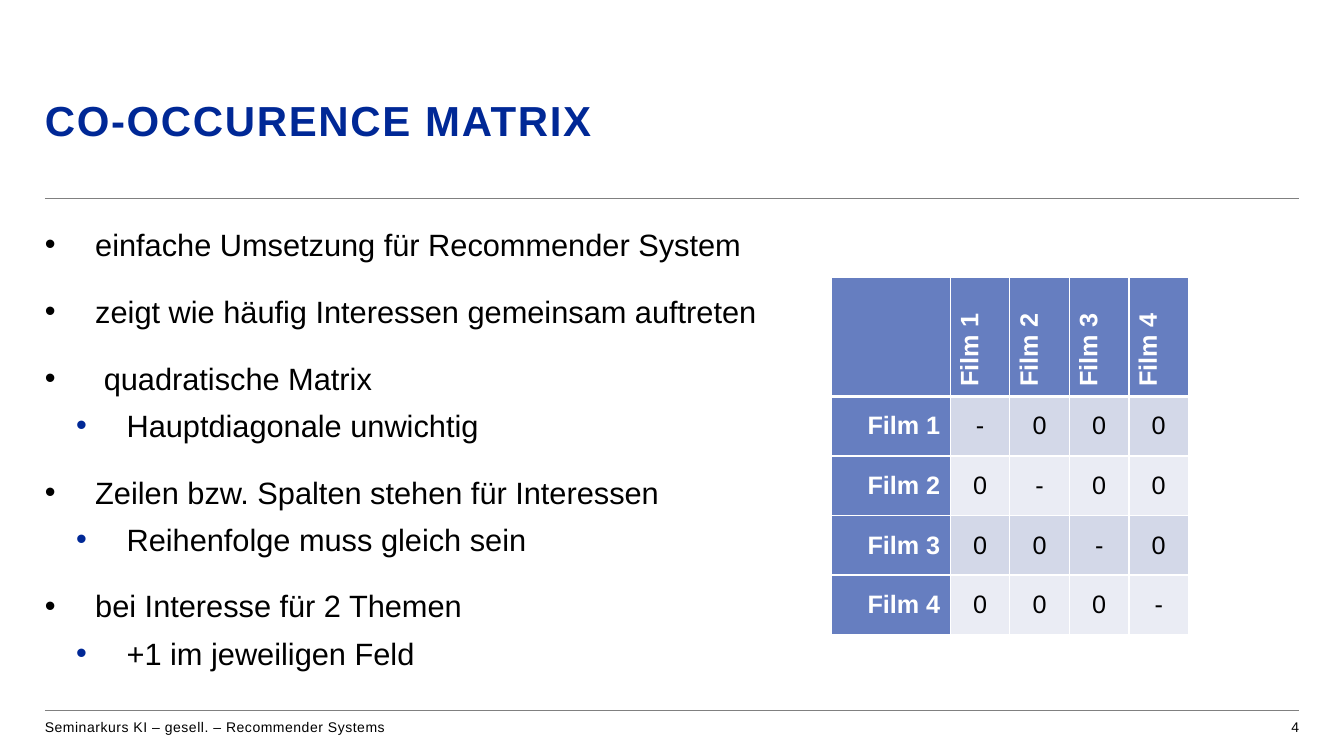
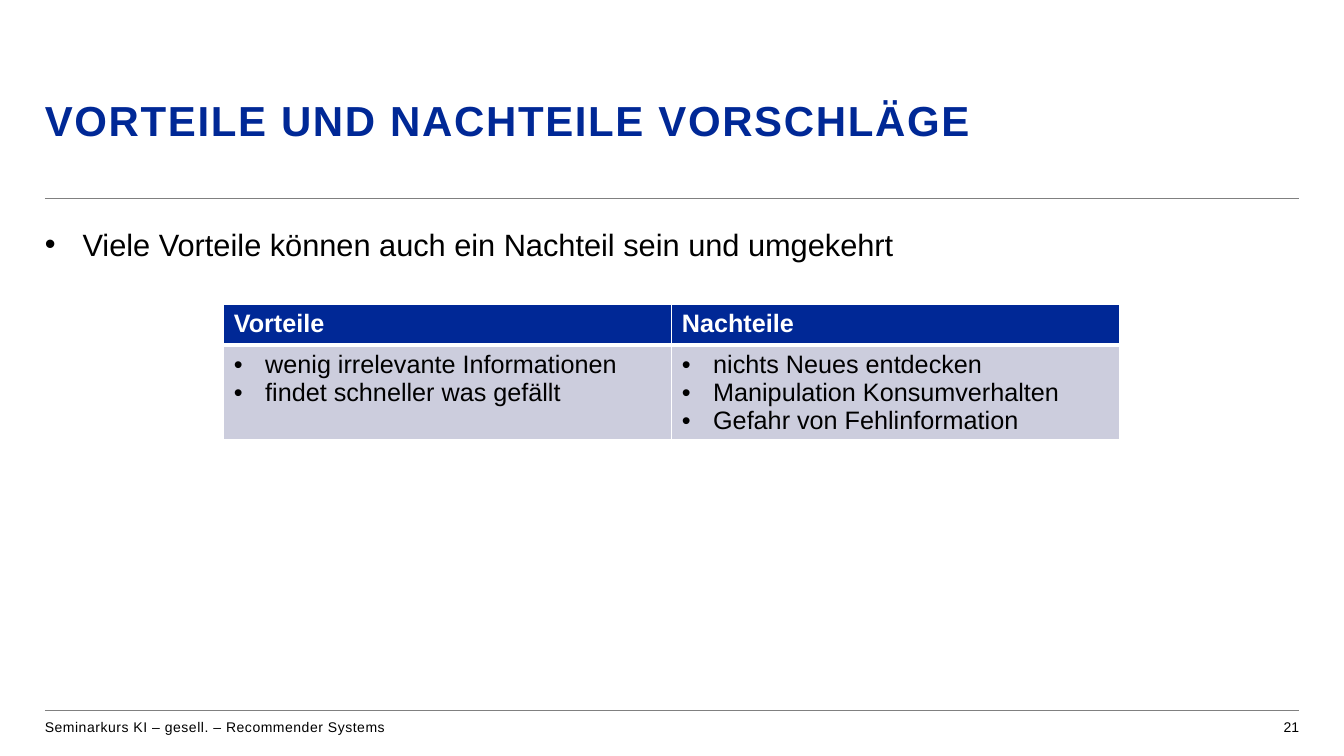
"""Build two slides on recommender systems: a co-occurrence matrix and pros and cons."""
import lxml.etree
import pptx
import pptx.dml.color
import pptx.enum.shapes
import pptx.enum.text
import pptx.oxml.ns
import pptx.util

Cm = pptx.util.Cm
Pt = pptx.util.Pt
qn = pptx.oxml.ns.qn
ALIGN = pptx.enum.text.PP_ALIGN
ANCHOR = pptx.enum.text.MSO_ANCHOR

COLORS = {
    "black": "000000",
    "white": "FFFFFF",
    "navy": "002896",
    "rule": "808080",
    "header": "667EC0",
    "band_dark": "D3D8E8",
    "band_light": "EAECF4",
    "list_cell": "CCCDDD",
}
LEFT, WIDTH = 1.13, 31.61
RIGHT = LEFT + WIDTH
FOOTER = "Seminarkurs KI – gesell. – Recommender Systems"

SLIDES = [
    ("CO-OCCURENCE MATRIX", "4", 1.27, [
        (0, "einfache Umsetzung für Recommender System"),
        (0, "zeigt wie häufig Interessen gemeinsam auftreten"),
        (0, " quadratische Matrix"),
        (1, "Hauptdiagonale unwichtig"),
        (0, "Zeilen bzw. Spalten stehen für Interessen"),
        (1, "Reihenfolge muss gleich sein"),
        (0, "bei Interesse für 2 Themen"),
        (1, "+1 im jeweiligen Feld"),
    ]),
    ("VORTEILE UND NACHTEILE VORSCHLÄGE", "21", 0.95, [
        (0, "Viele Vorteile können auch ein Nachteil sein und umgekehrt"),
    ]),
]
FILMS = ["Film 1", "Film 2", "Film 3", "Film 4"]
ARGUMENTS = {
    "Vorteile": ["wenig irrelevante Informationen", "findet schneller was gefällt"],
    "Nachteile": ["nichts Neues entdecken", "Manipulation Konsumverhalten",
                  "Gefahr von Fehlinformation"],
}


def write_paragraph(paragraph, text, size, color="black", bold=False, align=ALIGN.LEFT,
                    tracking=0, bullet=None, margin=0, hanging=0):
    """Fill a paragraph with text; bullet names the colour of its bullet."""
    paragraph.text = text
    paragraph.alignment = align
    properties = paragraph._p.get_or_add_pPr()
    if bullet:
        properties.set("marL", str(Cm(margin)))
        properties.set("indent", str(-Cm(hanging)))
        bullet_color = lxml.etree.SubElement(properties, qn("a:buClr"))
        lxml.etree.SubElement(bullet_color, qn("a:srgbClr"), val=COLORS[bullet])
        lxml.etree.SubElement(properties, qn("a:buFont"), typeface="Arial")
        lxml.etree.SubElement(properties, qn("a:buChar"), char="•")
    font = paragraph.font
    font.name = "Arial"
    font.size = Pt(size)
    font.bold = bold
    font.color.rgb = pptx.dml.color.RGBColor.from_string(COLORS[color])
    if tracking:
        properties.find(qn("a:defRPr")).set("spc", str(tracking))


def style_cell(cell, fill, row):
    """Give a cell white borders, thicker below the header row, and a fill."""
    properties = cell._tc.get_or_add_tcPr()
    widths = {"a:lnL": 1, "a:lnR": 1, "a:lnT": 3 if row == 1 else 1, "a:lnB": 3 if row == 0 else 1}
    for tag, width in widths.items():
        border = lxml.etree.SubElement(properties, qn(tag), w=str(Pt(width)))
        border_fill = lxml.etree.SubElement(border, qn("a:solidFill"))
        lxml.etree.SubElement(border_fill, qn("a:srgbClr"), val=COLORS["white"])
    cell.fill.solid()
    cell.fill.fore_color.rgb = pptx.dml.color.RGBColor.from_string(COLORS[fill])


presentation = pptx.Presentation()
presentation.slide_width = Cm(33.87)
presentation.slide_height = Cm(19.05)

for title, number, hanging, bullets in SLIDES:
    slide = presentation.slides.add_slide(presentation.slide_layouts[1])
    title_shape, body = slide.placeholders
    footer = slide.shapes.add_textbox(Cm(LEFT), Cm(18.11), Cm(20.5), Cm(0.6))
    page = slide.shapes.add_textbox(Cm(RIGHT - 5.28), Cm(18.11), Cm(5.28), Cm(0.6))

    for shape, top, height in ((title_shape, 2.48, 2.39), (body, 5.64, 11.68)):
        shape.left, shape.top, shape.width, shape.height = Cm(LEFT), Cm(top), Cm(WIDTH), Cm(height)
    for shape in (title_shape, body, footer, page):
        frame = shape.text_frame
        frame.margin_left = frame.margin_right = frame.margin_top = frame.margin_bottom = 0
        frame.word_wrap = True
        frame.auto_size = pptx.enum.text.MSO_AUTO_SIZE.NONE
        frame.vertical_anchor = ANCHOR.TOP

    heading = title_shape.text_frame.paragraphs[0]
    write_paragraph(heading, title, 30, "navy", bold=True, tracking=120)
    heading.line_spacing = 0.94
    write_paragraph(footer.text_frame.paragraphs[0], FOOTER, 10, tracking=40)
    write_paragraph(page.text_frame.paragraphs[0], number, 10, align=ALIGN.RIGHT)

    for index, (level, text) in enumerate(bullets):
        frame = body.text_frame
        paragraph = frame.add_paragraph() if index else frame.paragraphs[0]
        write_paragraph(paragraph, text, 22, bullet="navy" if level else "black",
                        margin=hanging + 0.79 * level, hanging=hanging)
        before_subitem = index + 1 < len(bullets) and bullets[index + 1][0] > level
        paragraph.level = level
        paragraph.line_spacing = 1.05
        paragraph.space_before = Pt(6 * level)
        paragraph.space_after = Pt(0 if before_subitem else 20)

    for top in (5, 17.9):
        rule = slide.shapes.add_connector(
            pptx.enum.shapes.MSO_CONNECTOR.STRAIGHT, Cm(LEFT), Cm(top), Cm(RIGHT), Cm(top))
        rule.line.color.rgb = pptx.dml.color.RGBColor.from_string(COLORS["rule"])
        rule.line.width = Pt(0.5)
        lxml.etree.SubElement(rule._element.spPr, qn("a:effectLst"))

matrix_slide, arguments_slide = presentation.slides

size = len(FILMS) + 1
matrix = matrix_slide.shapes.add_table(size, size, Cm(20.95), Cm(6.99), Cm(9), Cm(9)).table
for index in range(size):
    matrix.columns[index].width = matrix.rows[index].height = Cm(1.5 if index else 3)
for row in range(size):
    for column in range(size):
        cell = matrix.cell(row, column)
        is_header = row == 0 or column == 0
        style_cell(cell, "header" if is_header else "band_dark" if row % 2 else "band_light", row)
        cell.vertical_anchor = ANCHOR.MIDDLE
        paragraph = cell.text_frame.paragraphs[0]
        if row and column:
            write_paragraph(paragraph, "-" if row == column else "0", 18, align=ALIGN.CENTER)
        elif row:
            write_paragraph(paragraph, FILMS[row - 1], 18, "white", bold=True, align=ALIGN.RIGHT)
        elif column:
            write_paragraph(paragraph, FILMS[column - 1], 18, "white", bold=True)
            cell._tc.tcPr.set("vert", "vert270")

arguments = arguments_slide.shapes.add_table(
    2, len(ARGUMENTS), Cm(5.64), Cm(7.67), Cm(22.58), Cm(3.38)).table
arguments.rows[0].height = Cm(1.03)
arguments.rows[1].height = Cm(2.35)
for column, (heading, points) in enumerate(ARGUMENTS.items()):
    heading_cell, list_cell = arguments.cell(0, column), arguments.cell(1, column)
    style_cell(heading_cell, "navy", 0)
    style_cell(list_cell, "list_cell", 1)
    write_paragraph(heading_cell.text_frame.paragraphs[0], heading, 18, "white", bold=True)
    for index, point in enumerate(points):
        frame = list_cell.text_frame
        paragraph = frame.add_paragraph() if index else frame.paragraphs[0]
        write_paragraph(paragraph, point, 18, bullet="black", margin=0.79, hanging=0.79)

presentation.save("out.pptx")
